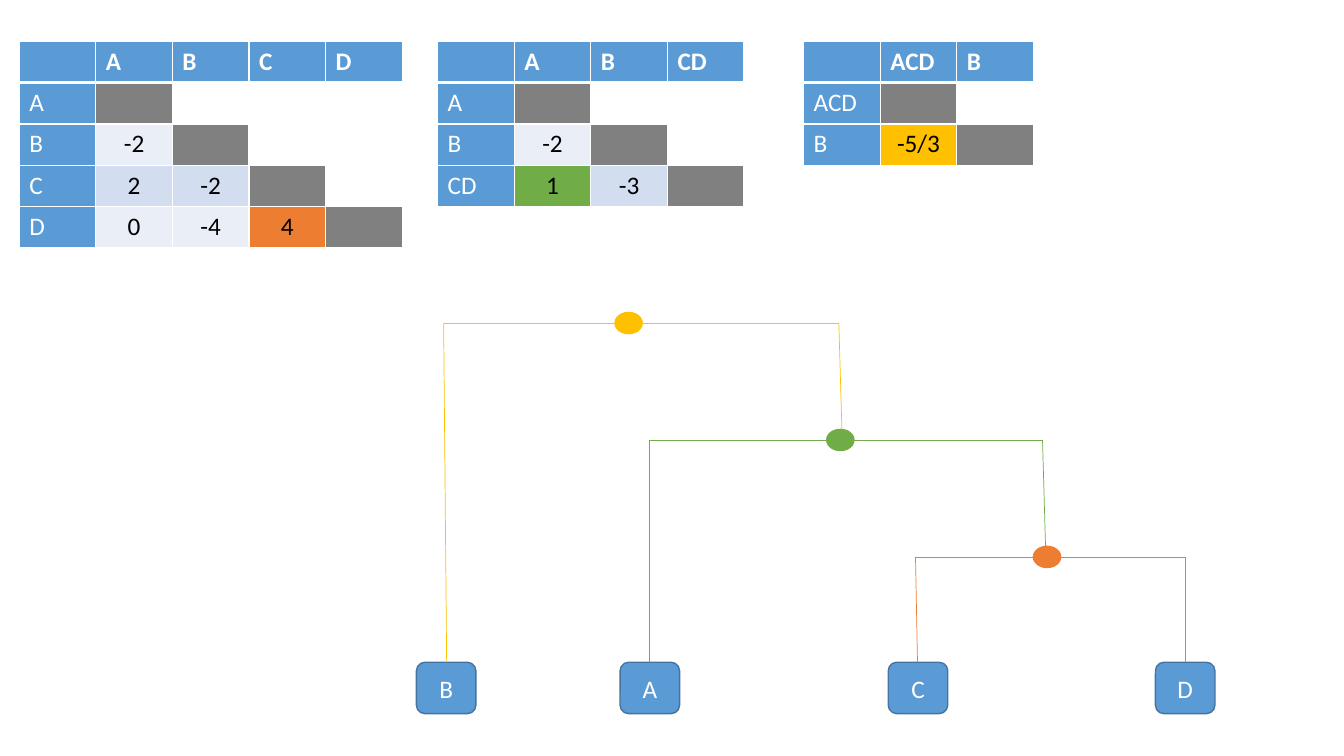
from lxml.etree import SubElement
from pptx import Presentation
from pptx.dml.color import RGBColor
from pptx.enum.shapes import MSO_CONNECTOR, MSO_SHAPE
from pptx.enum.text import MSO_ANCHOR, PP_ALIGN
from pptx.oxml import parse_xml
from pptx.oxml.ns import nsdecls, qn
from pptx.util import Inches, Pt

COLORS = {
    "blue": "5B9BD5", "outline": "43739E", "white": "FFFFFF", "black": "000000",
    "diagonal": "808080", "odd_row": "D2DEEF", "even_row": "EAEFF7",
    "orange": "ED7D31", "green": "70AD47", "gold": "FFC000",
}
CELL_WIDTH, CELL_HEIGHT = 0.76, 0.41
LEAF_WIDTH, LEAF_HEIGHT = 0.59, 0.51
NODE_WIDTH, NODE_HEIGHT = 0.27, 0.21
LEVEL_STEP = 1.16


def rgb(name):
    return RGBColor.from_string(COLORS[name])


def write(text_frame, text, color, align=PP_ALIGN.LEFT, bold=False):
    text_frame.text = text
    paragraph = text_frame.paragraphs[0]
    paragraph.alignment = align
    font = paragraph.font
    if paragraph.runs:
        font = paragraph.runs[0].font
    font.name, font.size, font.bold = "Calibri", Pt(18), bold
    font.color.rgb = rgb(color)


def set_borders(cell, top, bottom):
    properties = cell._tc.get_or_add_tcPr()
    widths = {"lnL": 1, "lnR": 1, "lnT": top, "lnB": bottom}
    for position, (side, width) in enumerate(widths.items()):
        properties.insert(position, parse_xml(
            f'<a:{side} {nsdecls("a")} w="{Pt(width)}"><a:solidFill>'
            f'<a:srgbClr val="{COLORS["white"]}"/></a:solidFill></a:{side}>'))


def draw_score_table(slide, left, top, labels, scores, best, best_color):
    """Lower-triangular score matrix; best is the (row, column) to highlight."""
    size = len(labels) + 1
    table = slide.shapes.add_table(
        size, size, Inches(left), Inches(top),
        Inches(size * CELL_WIDTH), Inches(size * CELL_HEIGHT)).table
    table.first_row = table.horz_banding = False
    for column in table.columns:
        column.width = Inches(CELL_WIDTH)
    for row in range(size):
        table.rows[row].height = Inches(CELL_HEIGHT)
        for column in range(size):
            cell = table.cell(row, column)
            text, fill, color, align = "", None, "black", PP_ALIGN.CENTER
            if row == 0 or column == 0:
                text = ([""] + labels)[max(row, column)]
                fill, color, align = "blue", "white", PP_ALIGN.LEFT
            elif row == column:
                fill = "diagonal"
            elif column < row:
                text = scores[row - 2][column - 1]
                fill = "odd_row" if row % 2 else "even_row"
                if (row, column) == best:
                    fill = best_color
            write(cell.text_frame, text, color, align, bold=row == 0)
            if fill:
                cell.fill.solid()
                cell.fill.fore_color.rgb = rgb(fill)
            else:
                cell.fill.background()
            set_borders(cell, 3 if row == 1 else 1, 3 if row == 0 else 1)


def add_block(slide, kind, left, top, width, height, fill, outline):
    shape = slide.shapes.add_shape(
        kind, Inches(left), Inches(top), Inches(width), Inches(height))
    shape.shadow.inherit = False
    shape.fill.solid()
    shape.fill.fore_color.rgb = rgb(fill)
    shape.line.color.rgb = rgb(outline)
    shape.line.width = Pt(1)
    return shape


def add_branch(slide, start, end, color):
    connector = slide.shapes.add_connector(
        MSO_CONNECTOR.STRAIGHT, *(Inches(value) for value in start + end))
    connector.line.color.rgb = rgb(color)
    connector.line.width = Pt(0.5)
    SubElement(connector._element.spPr, qn("a:effectLst"))


def draw_tree(slide, left, top):
    """Guide tree: leaves at the bottom, one coloured join per level."""
    leaf_top = top + 3 * LEVEL_STEP - 0.01
    leaf_lefts = {"A": 2.02, "B": 0, "C": 4.68, "D": 7.33}
    for label, offset in leaf_lefts.items():
        leaf = add_block(slide, MSO_SHAPE.ROUNDED_RECTANGLE, left + offset, leaf_top,
                         LEAF_WIDTH, LEAF_HEIGHT, "blue", "outline")
        leaf.text_frame.vertical_anchor = MSO_ANCHOR.MIDDLE
        write(leaf.text_frame, label, "white", PP_ALIGN.CENTER)

    # Level, colour, node left, bar ends, feet of both branches
    joins = [
        (2, "orange", 6.12, (4.95, 7.63), (4.97, 7.63)),
        (1, "green", 4.07, (2.31, 6.21), (2.31, 6.24)),
        (0, "gold", 1.97, (0.27, 4.19), (0.3, 4.22)),
    ]
    for level, color, node_left, bar, feet in joins:
        node_top = top + level * LEVEL_STEP
        bar_top = node_top + NODE_HEIGHT / 2
        foot_tops = (leaf_top, leaf_top if level == 2 else node_top + LEVEL_STEP)
        corners = [(left + end, bar_top) for end in bar]
        for foot, foot_top, corner in zip(feet, foot_tops, corners):
            add_branch(slide, (left + foot, foot_top), corner, color)
        add_branch(slide, *corners, color)
        add_block(slide, MSO_SHAPE.OVAL, left + node_left, node_top,
                  NODE_WIDTH, NODE_HEIGHT, color, color)


presentation = Presentation()
presentation.slide_width, presentation.slide_height = Inches(13.33), Inches(7.5)
slide = presentation.slides.add_slide(presentation.slide_layouts[6])

# Score matrices, one per clustering step
draw_score_table(slide, 0.19, 0.41, ["A", "B", "C", "D"],
                 [["-2"], ["2", "-2"], ["0", "-4", "4"]], (4, 3), "orange")
draw_score_table(slide, 4.34, 0.41, ["A", "B", "CD"],
                 [["-2"], ["1", "-3"]], (3, 1), "green")
draw_score_table(slide, 7.97, 0.41, ["ACD", "B"], [["-5/3"]], (2, 1), "gold")

# Resulting tree
draw_tree(slide, 4.13, 3.1)

presentation.save("out.pptx")
